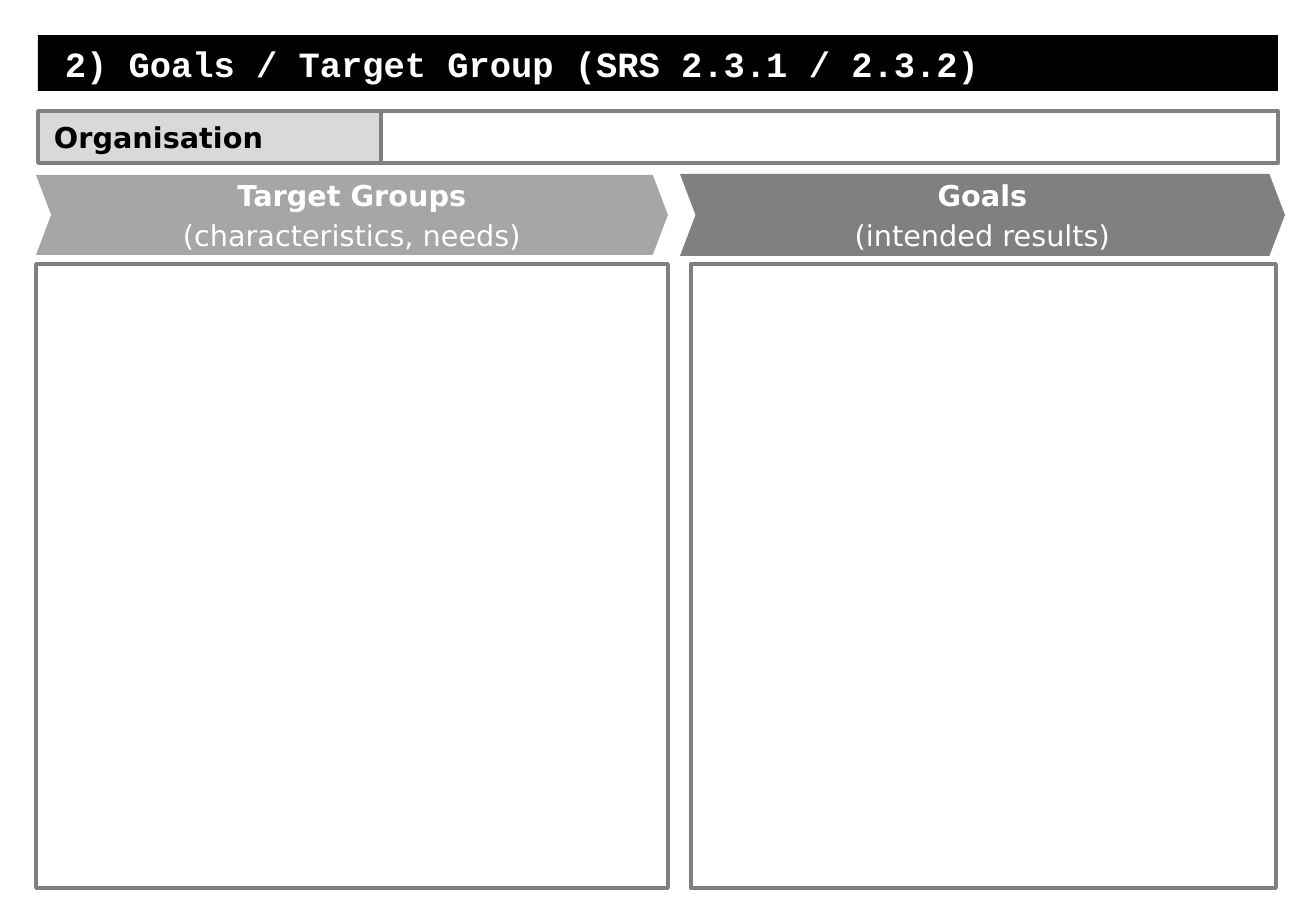
import pptx
import pptx.util
import pptx.dml.color
import pptx.enum.shapes
import pptx.enum.text

# Content
TITLE = "2) Goals / Target Group (SRS 2.3.1 / 2.3.2)"
LABEL = "Organisation"
# heading, note, chevron colour, chevron box, frame left and width
COLUMNS = [
    ("Target Groups", "(characteristics, needs)", "A6A6A6", (36, 175, 632, 80), (36, 632)),
    ("Goals", "(intended results)", "808080", (680, 174, 605, 82), (691, 585)),
]

# Layout in px
SCALE = 7526
SLIDE_WIDTH, SLIDE_HEIGHT = 1316, 911
LEFT, RIGHT = 38, 1278
TITLE_TOP, TITLE_HEIGHT = 35, 56
FIELD_TOP, FIELD_HEIGHT, LABEL_WIDTH = 111, 52, 343
FRAME_TOP, FRAME_HEIGHT = 264, 624
GREY, WHITE, BLACK = "808080", "FFFFFF", "000000"
SANS = "DejaVu Sans"
SHAPES = pptx.enum.shapes.MSO_SHAPE
ALIGN = pptx.enum.text.PP_ALIGN


def px(length):
    return pptx.util.Emu(length * SCALE)


def color(value):
    return pptx.dml.color.RGBColor.from_string(value)


def add_box(slide, box, fill=None, line=None, kind=SHAPES.RECTANGLE):
    shape = slide.shapes.add_shape(kind, *map(px, box))
    shape.shadow.inherit = False
    if fill:
        shape.fill.solid()
        shape.fill.fore_color.rgb = color(fill)
    else:
        shape.fill.background()
    if line:
        shape.line.color.rgb = color(line)
        shape.line.width = pptx.util.Pt(2.25)
    else:
        shape.line.fill.background()
    return shape


def write(shape, lines, font, size, text_color, align, left=2, after=0):
    """Fill a shape with (text, bold) lines."""
    frame = shape.text_frame
    frame.word_wrap = True
    frame.vertical_anchor = pptx.enum.text.MSO_ANCHOR.MIDDLE
    frame.margin_left = px(left)
    frame.margin_top = frame.margin_right = frame.margin_bottom = px(2)
    for index, (text, bold) in enumerate(lines):
        paragraph = frame.add_paragraph() if index else frame.paragraphs[0]
        paragraph.text = text
        paragraph.alignment = align
        paragraph.space_after = pptx.util.Pt(after)
        paragraph.font.name = font
        paragraph.font.size = pptx.util.Pt(size)
        paragraph.font.bold = bold
        paragraph.font.color.rgb = color(text_color)


def main():
    presentation = pptx.Presentation()
    presentation.slide_width = px(SLIDE_WIDTH)
    presentation.slide_height = px(SLIDE_HEIGHT)
    slide = presentation.slides.add_slide(presentation.slide_layouts[6])

    # Title bar
    title = add_box(slide, (LEFT, TITLE_TOP, RIGHT - LEFT, TITLE_HEIGHT), BLACK)
    write(title, [(TITLE, True)], "Courier New", 21, WHITE, ALIGN.LEFT, left=27)

    # Organisation label and its empty field
    label = add_box(slide, (LEFT, FIELD_TOP, LABEL_WIDTH, FIELD_HEIGHT), "D9D9D9", GREY)
    write(label, [(LABEL, True)], SANS, 17, BLACK, ALIGN.LEFT, left=16)
    field_left = LEFT + LABEL_WIDTH
    add_box(slide, (field_left, FIELD_TOP, RIGHT - field_left, FIELD_HEIGHT), WHITE, GREY)

    # Columns: chevron heading above an empty frame
    for heading, note, fill, chevron_box, (frame_left, frame_width) in COLUMNS:
        add_box(slide, (frame_left, FRAME_TOP, frame_width, FRAME_HEIGHT), line=GREY)
        chevron = add_box(slide, chevron_box, fill, kind=SHAPES.CHEVRON)
        chevron.adjustments[0] = 0.19
        write(chevron, [(heading, True), (note, False)], SANS, 17, WHITE, ALIGN.CENTER, after=2.8)

    presentation.save("out.pptx")


if __name__ == "__main__":
    main()
